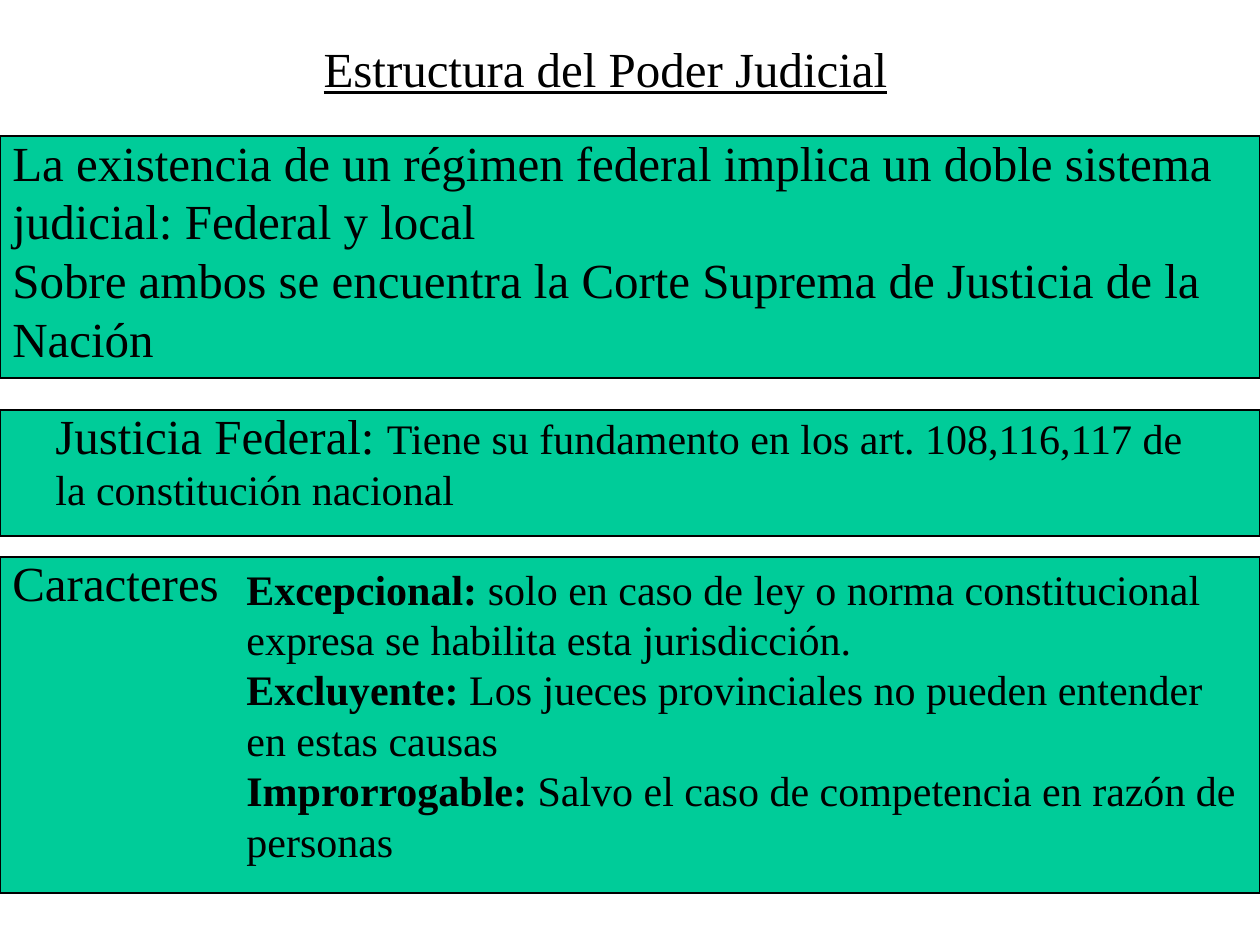
"""Build a slide on the structure of the judiciary."""
from pptx import Presentation
from pptx.dml.color import RGBColor
from pptx.enum.shapes import MSO_SHAPE
from pptx.enum.text import MSO_ANCHOR, MSO_AUTO_SIZE, PP_ALIGN
from pptx.util import Emu, Pt

RECTANGLE = MSO_SHAPE.RECTANGLE
TOP = MSO_ANCHOR.TOP
NO_AUTOSIZE = MSO_AUTO_SIZE.NONE
LEFT, CENTER = PP_ALIGN.LEFT, PP_ALIGN.CENTER

THEME = {
    "font": "Times New Roman",
    "ink": RGBColor(0x00, 0x00, 0x00),
    "panel": RGBColor(0x00, 0xCC, 0x99),
    "large": 28,
    "body": 24,
    "leading": 1.2,
    "outline": 0.75,
}
WIDTH, HEIGHT = 1260, 945
EMU_PER_PX = 914400 / 126
INSET_X, INSET_Y = 12.6, 6.3

TITLE = {
    "at": (305, 32, 601, 72),
    "lines": [[("Estructura del Poder Judicial ", "large", False)]],
}
PANELS = [(136, 242), (410, 126), (557, 336)]
TEXTS = [
    {
        "at": (0, 126, 1225, 248),
        "wrap": True,
        "lines": [
            [("La existencia de un régimen federal implica un doble sistema", "large", False)],
            [("judicial: Federal y local", "large", False)],
            [("Sobre ambos se encuentra la Corte Suprema de Justicia de la Nación", "large", False)],
        ],
    },
    {
        "at": (43, 399, 1167, 122),
        "wrap": False,
        "lines": [
            [
                ("Justicia Federal: ", "large", False),
                ("Tiene su fundamento en los art. 108,116,117 de", "body", False),
            ],
            [("la constitución nacional", "body", False)],
        ],
    },
    {
        "at": (0, 546, 232, 72),
        "wrap": False,
        "lines": [[("Caracteres", "large", False)]],
    },
    {
        "at": (234, 557, 1027, 315),
        "wrap": False,
        "lines": [
            [
                ("Excepcional:", "body", True),
                (" solo en caso de ley o norma constitucional", "body", False),
            ],
            [("expresa se habilita esta jurisdicción.", "body", False)],
            [
                ("Excluyente:", "body", True),
                (" Los jueces provinciales no pueden entender", "body", False),
            ],
            [("en estas causas", "body", False)],
            [
                ("Improrrogable:", "body", True),
                (" Salvo el caso de competencia en razón de", "body", False),
            ],
            [("personas", "body", False)],
        ],
    },
]


def px(value):
    return Emu(round(value * EMU_PER_PX))


def add_panel(page, top, height):
    panel = page.shapes.add_shape(RECTANGLE, px(0), px(top), px(WIDTH), px(height))
    panel.shadow.inherit = False
    panel.fill.solid()
    panel.fill.fore_color.rgb = THEME["panel"]
    panel.line.color.rgb = THEME["ink"]
    panel.line.width = Pt(THEME["outline"])


def fill_text(box, lines, wrap=False, align=LEFT, underline=False):
    frame = box.text_frame
    frame.word_wrap = wrap
    frame.auto_size = NO_AUTOSIZE
    frame.vertical_anchor = TOP
    frame.margin_left = frame.margin_right = px(INSET_X)
    frame.margin_top = frame.margin_bottom = px(INSET_Y)
    for index, spans in enumerate(lines):
        para = frame.add_paragraph() if index else frame.paragraphs[0]
        para.alignment = align
        para.space_before = para.space_after = Pt(0)
        para.line_spacing = Pt(THEME["leading"] * max(THEME[size] for _, size, _ in spans))
        for text, size, bold in spans:
            span = para.add_run()
            span.text = text
            span.font.name = THEME["font"]
            span.font.size = Pt(THEME[size])
            span.font.bold = bold
            span.font.underline = underline
            span.font.color.rgb = THEME["ink"]


def main():
    deck = Presentation()
    deck.slide_width, deck.slide_height = px(WIDTH), px(HEIGHT)
    page = deck.slides.add_slide(deck.slide_layouts[5])
    title = page.shapes.title
    title.left, title.top, title.width, title.height = map(px, TITLE["at"])
    fill_text(title, TITLE["lines"], align=CENTER, underline=True)
    for top, height in PANELS:
        add_panel(page, top, height)
    for block in TEXTS:
        box = page.shapes.add_textbox(*map(px, block["at"]))
        fill_text(box, block["lines"], block["wrap"])
    deck.save("out.pptx")


if __name__ == "__main__":
    main()
